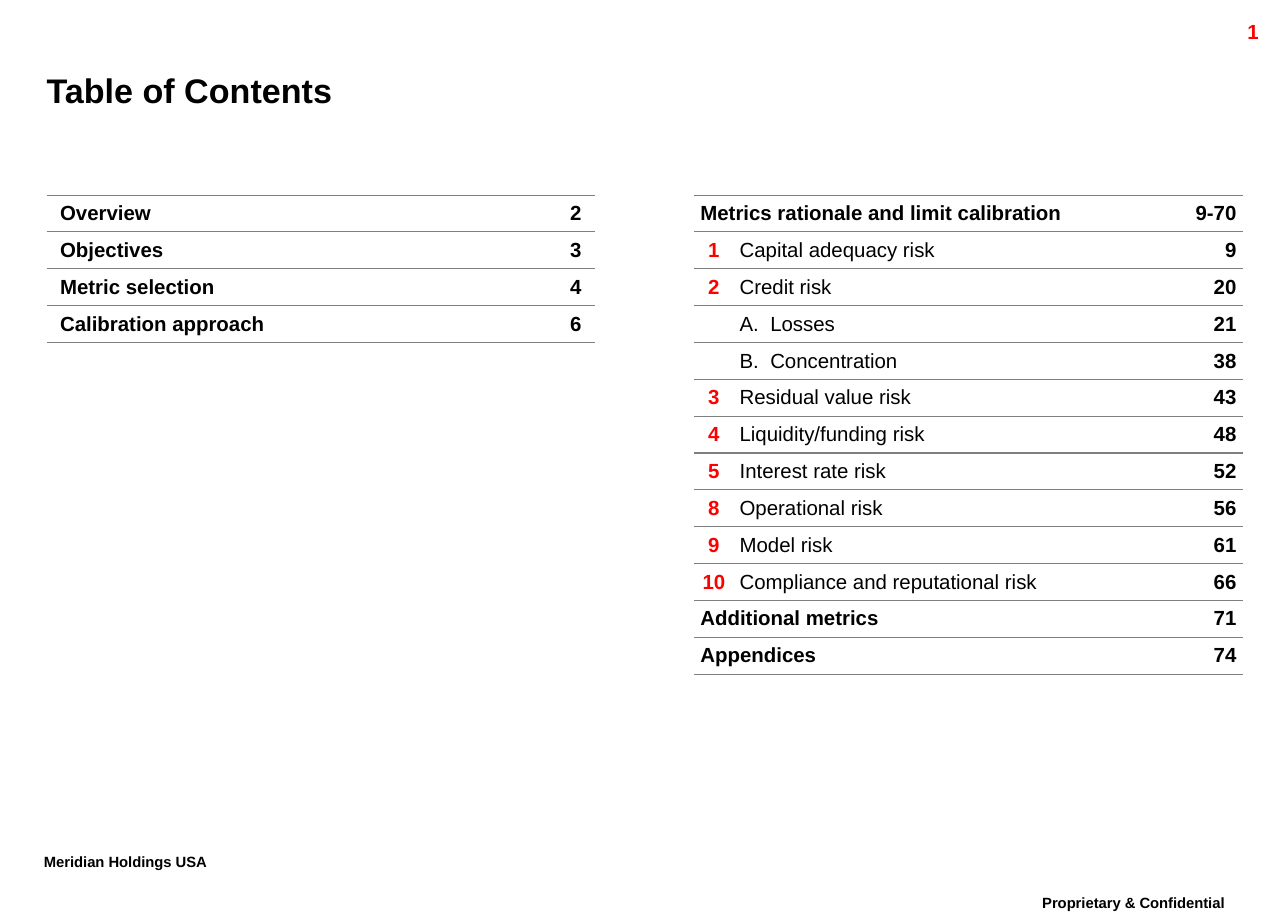
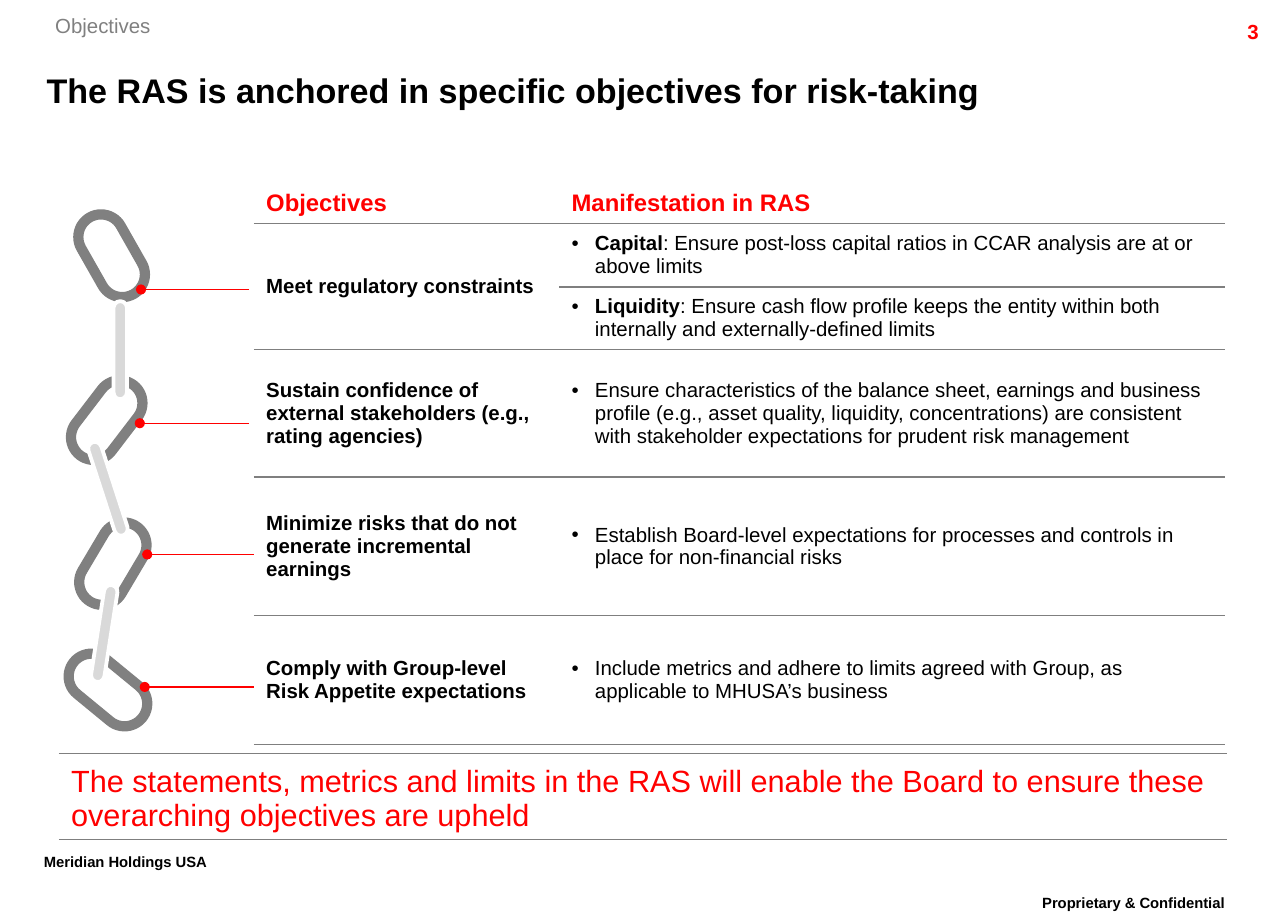
from lxml.etree import SubElement
from pptx import Presentation
from pptx.dml.color import RGBColor
from pptx.enum.shapes import MSO_CONNECTOR, MSO_SHAPE
from pptx.enum.text import MSO_ANCHOR as ANCHOR, PP_ALIGN as ALIGN
from pptx.oxml import parse_xml
from pptx.oxml.ns import nsdecls, qn
from pptx.util import Inches, Pt

BLACK = RGBColor(0x00, 0x00, 0x00)
WHITE = RGBColor(0xFF, 0xFF, 0xFF)
RED = RGBColor(0xFF, 0x00, 0x00)
GRAY = RGBColor(0x80, 0x80, 0x80)
RULE = RGBColor(0x7F, 0x7F, 0x7F)
SILVER = RGBColor(0xD9, 0xD9, 0xD9)
FONT = "Arial"
TITLE_ONLY = 5

OVERVIEW = [("Overview", "2"), ("Objectives", "3"),
            ("Metric selection", "4"), ("Calibration approach", "6")]
CALIBRATION = [
    ("", "Metrics rationale and limit calibration", "9-70"),
    ("1", "Capital adequacy risk", "9"),
    ("2", "Credit risk", "20"),
    ("A", "Losses", "21"),
    ("B", "Concentration", "38"),
    ("3", "Residual value risk", "43"),
    ("4", "Liquidity/funding risk", "48"),
    ("5", "Interest rate risk", "52"),
    ("8", "Operational risk", "56"),
    ("9", "Model risk", "61"),
    ("10", "Compliance and reputational risk", "66"),
    ("", "Additional metrics", "71"),
    ("", "Appendices", "74"),
]
OBJECTIVES = [
    ("Meet regulatory constraints", "Capital",
     ": Ensure post-loss capital ratios in CCAR analysis are at or above limits"),
    ("", "Liquidity",
     ": Ensure cash flow profile keeps the entity within both internally and "
     "externally-defined limits"),
    ("Sustain confidence of external stakeholders (e.g., rating agencies)", "",
     "Ensure characteristics of the balance sheet, earnings and business profile "
     "(e.g., asset quality, liquidity, concentrations) are consistent with "
     "stakeholder expectations for prudent risk management"),
    ("Minimize risks that do not generate incremental earnings", "",
     "Establish Board-level expectations for processes and controls in place for "
     "non-financial risks"),
    ("Comply with Group-level Risk Appetite expectations", "",
     "Include metrics and adhere to limits agreed with Group, as applicable to "
     "MHUSA’s business"),
]
LINKS = [(0.1, 0, 60.4), (0.06, 1.34, 127.4), (0.11, 2.51, 120.7), (0.07, 3.54, 39.4)]
BARS = [(0, 3.21, 98.8), (0.03, 2.03, 72), (0.13, 0.9, 90)]
PINS = [(0.7, 0.46, 1.58), (0.69, 1.55, 1.58), (0.75, 2.62, 1.62), (0.73, 3.7, 1.62)]


def style_run(run, size, color=BLACK, bold=False):
    run.font.name, run.font.size = FONT, Pt(size)
    run.font.bold, run.font.color.rgb = bold, color


def write(frame, text, size, color=BLACK, bold=False, align=ALIGN.LEFT):
    frame.text = text
    paragraph = frame.paragraphs[0]
    paragraph.alignment = align
    for run in paragraph.runs:
        style_run(run, size, color, bold)
    return paragraph


def add_label(slide, box, text, size, color, bold, align=ALIGN.LEFT, inset=None):
    frame = slide.shapes.add_textbox(*map(Inches, box)).text_frame
    frame.word_wrap = True
    if inset is not None:
        frame.margin_left = frame.margin_right = Inches(inset)
        frame.margin_top = frame.margin_bottom = Inches(inset)
    return write(frame, text, size, color, bold, align)


def add_page(deck, title, number):
    slide = deck.slides.add_slide(deck.slide_layouts[TITLE_ONLY])
    heading = slide.shapes.title
    heading.left, heading.top = Inches(0.38), Inches(0.49)
    heading.width, heading.height = Inches(9.73), Inches(0.48)
    frame = heading.text_frame
    frame.margin_left = frame.margin_right = frame.margin_top = frame.margin_bottom = 0
    frame.vertical_anchor = ANCHOR.MIDDLE
    write(frame, title, 20, bold=True)
    add_label(slide, (9.36, 0.11, 1, 0.24), number, 12, RED, True, ALIGN.RIGHT)
    for box, text, align in [
            ((8.15, 7.25, 2.18, 0.35), "Proprietary & Confidential", ALIGN.CENTER),
            ((0.26, 6.91, 1.91, 0.35), "Meridian Holdings USA", ALIGN.LEFT)]:
        footer = add_label(slide, box, text, 15, BLACK, True, align)
        footer.line_spacing = 0.86
        footer.runs[0].font._element.set("baseline", "30000")
    return slide


def rule_cell(cell, top):
    cell.fill.background()
    properties = cell._tc.get_or_add_tcPr()
    sides = {"lnL": False, "lnR": False, "lnT": top, "lnB": True}
    for position, (side, ruled) in enumerate(sides.items()):
        paint = (f'<a:solidFill><a:srgbClr val="{RULE}"/></a:solidFill>'
                 if ruled else "<a:noFill/>")
        properties.insert(position, parse_xml(
            f'<a:{side} {nsdecls("a")} w="{Pt(0.75)}">{paint}</a:{side}>'))


def add_ruled_table(slide, left, top, widths, heights, inset=0.1, top_rule=True):
    table = slide.shapes.add_table(
        len(heights), len(widths), Inches(left), Inches(top),
        Inches(sum(widths)), Inches(sum(heights))).table
    table.first_row = table.horz_banding = False
    for column, width in zip(table.columns, widths):
        column.width = Inches(width)
    for index, (row, height) in enumerate(zip(table.rows, heights)):
        row.height = Inches(height)
        for cell in row.cells:
            rule_cell(cell, top_rule or index > 0)
            cell.vertical_anchor = ANCHOR.MIDDLE
            cell.margin_left = cell.margin_right = Inches(inset)
            write(cell.text_frame, "", 12)
            cell.text_frame.paragraphs[0].font.size = Pt(12)
    return table


def add_bullet(paragraph, indent, tag, **attributes):
    properties = paragraph._p.get_or_add_pPr()
    properties.set("marL", str(Inches(indent)))
    properties.set("indent", str(-Inches(indent)))
    for old in properties.findall(qn("a:defRPr")):
        properties.remove(old)
    SubElement(properties, qn("a:buFont"), typeface=FONT)
    SubElement(properties, qn(tag), **attributes)


def add_overview(slide, left, top):
    table = add_ruled_table(slide, left, top, [2.09, 1.66, 0.72],
                            [0.3] * len(OVERVIEW), 0.11)
    for row, (section, page) in enumerate(OVERVIEW):
        write(table.cell(row, 0).text_frame, section, 12, bold=True)
        write(table.cell(row, 2).text_frame, page, 12, bold=True, align=ALIGN.RIGHT)


def add_calibration(slide, left, top):
    table = add_ruled_table(slide, left, top, [0.32, 3.3, 0.85],
                            [0.3] * len(CALIBRATION), 0.05)
    for row, (mark, section, page) in enumerate(CALIBRATION):
        mark_cell, section_cell, page_cell = table.rows[row].cells
        write(page_cell.text_frame, page, 12, bold=True, align=ALIGN.RIGHT)
        if not mark:
            mark_cell.merge(section_cell)
            write(mark_cell.text_frame, section, 12, bold=True)
            continue
        entry = write(section_cell.text_frame, section, 12)
        if mark.isdigit():
            write(mark_cell.text_frame, mark, 12, RED, True, ALIGN.CENTER)
        else:
            add_bullet(entry, 0.25, "a:buAutoNum", type="alphaUcPeriod",
                       startAt=str("AB".index(mark) + 1))


def add_pill(slide, left, top, width, height, angle, line, weight, fill=None):
    pill = slide.shapes.add_shape(MSO_SHAPE.ROUNDED_RECTANGLE,
                                  *map(Inches, (left, top, width, height)))
    pill.adjustments[0] = 0.5
    pill.rotation = angle
    pill.shadow.inherit = False
    pill.line.color.rgb, pill.line.width = line, Pt(weight)
    if fill is None:
        pill.fill.background()
    else:
        pill.fill.solid()
        pill.fill.fore_color.rgb = fill


def add_chain(slide, left, top):
    for x, y, angle in LINKS:
        add_pill(slide, left + x, top + y, 0.72, 0.37, angle, GRAY, 6)
    for x, y, angle in BARS:
        add_pill(slide, left + x, top + y, 0.8, 0.11, angle, WHITE, 2.25, SILVER)
    for dot, y, end in PINS:
        pin = slide.shapes.add_connector(
            MSO_CONNECTOR.STRAIGHT, Inches(left + end), Inches(top + y),
            Inches(left + dot), Inches(top + y))
        pin.line.color.rgb, pin.line.width = RED, Pt(0.75)
        SubElement(pin.line._get_or_add_ln(), qn("a:tailEnd"), type="oval")
        SubElement(pin._element.spPr, qn("a:effectLst"))


def add_objectives(slide, left, top):
    table = add_ruled_table(slide, left, top, [2.49, 5.43],
                            [0.34, 0.52, 0.51, 1.04, 1.13, 1.05], top_rule=False)
    for column, header in enumerate(["Objectives", "Manifestation in RAS"]):
        cell = table.cell(0, column)
        cell.vertical_anchor = ANCHOR.BOTTOM
        write(cell.text_frame, header, 14, RED, True)
    table.cell(1, 0).merge(table.cell(2, 0))
    for row, (objective, lead, detail) in enumerate(OBJECTIVES, 1):
        if objective:
            write(table.cell(row, 0).text_frame, objective, 12, bold=True)
        manifestation = write(table.cell(row, 1).text_frame, lead, 12, bold=True)
        add_bullet(manifestation, 0.19, "a:buChar", char="•")
        detail_run = manifestation.add_run()
        detail_run.text = detail
        style_run(detail_run, 12)


def add_conclusion(slide, left, top):
    cell = add_ruled_table(slide, left, top, [9.52], [0.66]).cell(0, 0)
    cell.vertical_anchor = ANCHOR.BOTTOM
    write(cell.text_frame, "The statements, metrics and limits in the RAS will enable "
          "the Board to ensure these overarching objectives are upheld", 18, RED)


def add_contents_slide(deck):
    slide = add_page(deck, "Table of Contents", "1")
    add_overview(slide, 0.38, 1.59)
    add_calibration(slide, 5.66, 1.59)


def add_objectives_slide(deck):
    slide = add_page(
        deck, "The RAS is anchored in specific objectives for risk-taking", "3")
    add_label(slide, (0.45, 0.11, 1, 0.2), "Objectives", 12, GRAY, False, inset=0)
    add_chain(slide, 0.45, 1.9)
    add_objectives(slide, 2.07, 1.48)
    add_conclusion(slide, 0.48, 6.14)


def main():
    deck = Presentation()
    deck.slide_width, deck.slide_height = Inches(10.5), Inches(7.5)
    add_contents_slide(deck)
    add_objectives_slide(deck)
    deck.save("out.pptx")


if __name__ == "__main__":
    main()
